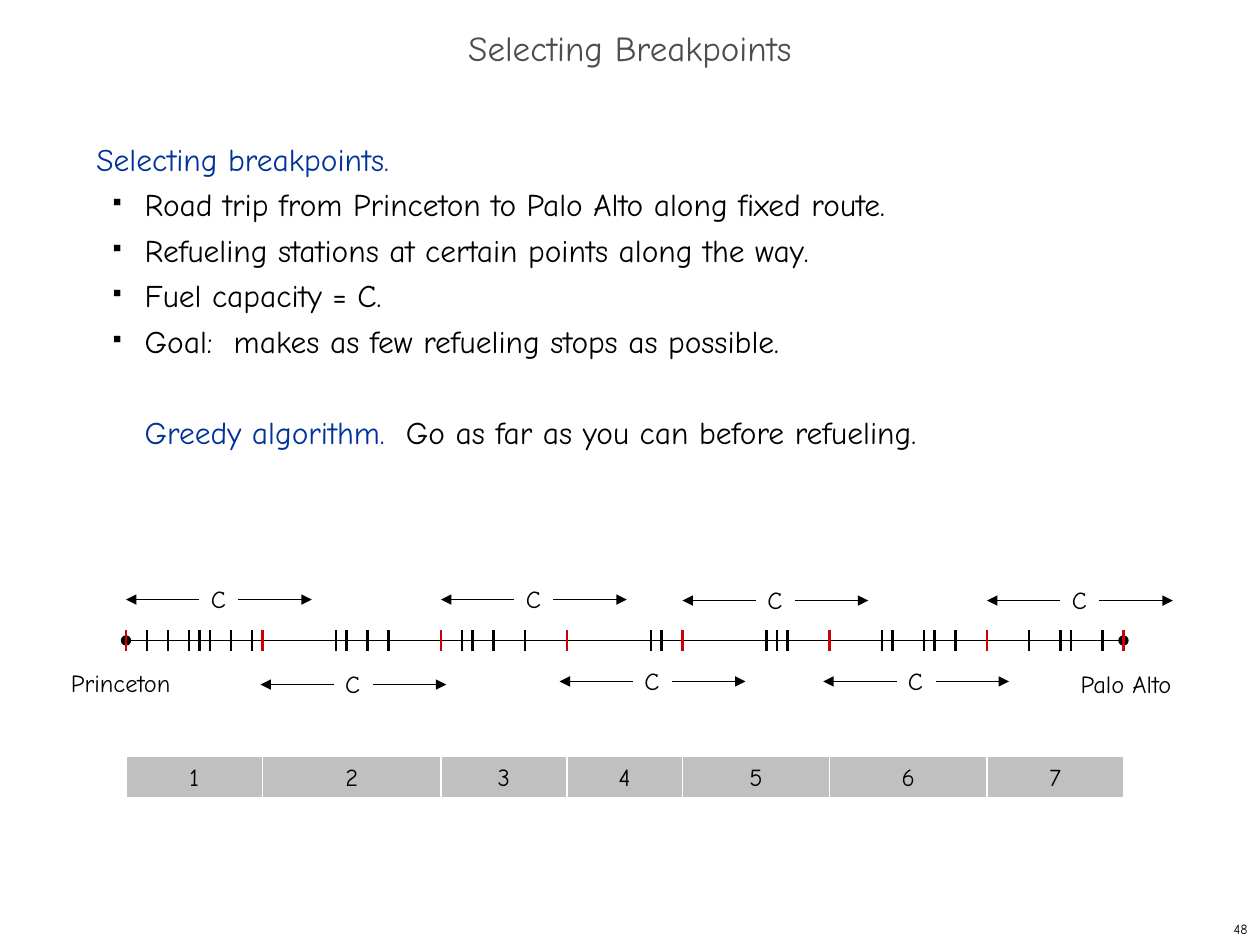
from dataclasses import dataclass

from lxml import etree
from pptx import Presentation
from pptx.dml.color import RGBColor
from pptx.enum.shapes import MSO_CONNECTOR, MSO_SHAPE
from pptx.enum.text import MSO_ANCHOR, MSO_AUTO_SIZE, PP_ALIGN
from pptx.oxml.ns import qn
from pptx.util import Pt

PX = 7620
LEFT, CENTER, RIGHT = PP_ALIGN.LEFT, PP_ALIGN.CENTER, PP_ALIGN.RIGHT
TOP, MIDDLE = MSO_ANCHOR.TOP, MSO_ANCHOR.MIDDLE
FIT_SHAPE = MSO_AUTO_SIZE.SHAPE_TO_FIT_TEXT
STRAIGHT = MSO_CONNECTOR.STRAIGHT
RECTANGLE = MSO_SHAPE.RECTANGLE


@dataclass(frozen=True)
class Theme:
    font: str = "Comic Neue"
    title: str = "4D4D4D"
    heading: str = "003399"
    ink: str = "000000"
    stop: str = "CC0000"
    segment: str = "C0C0C0"
    paper: str = "FFFFFF"
    title_size: int = 20
    body_size: int = 18
    label_size: int = 14
    number_size: int = 8
    body_leading: int = 26
    thin: float = 0.75
    tick: float = 1.25


class SlideBuilder:
    def __init__(self, slide, theme):
        self.slide = slide
        self.theme = theme

    def style(self, run, size, color):
        run.font.name = self.theme.font
        run.font.size = Pt(size)
        run.font.color.rgb = RGBColor.from_string(color)

    def fill_text(self, shape, text, size, color, align):
        frame = shape.text_frame
        frame.text = text
        frame.vertical_anchor = MIDDLE
        paragraph = frame.paragraphs[0]
        paragraph.alignment = align
        self.style(paragraph.runs[0], size, color)
        return paragraph

    def text(self, box, text, size, color, align):
        shape = self.slide.shapes.add_textbox(*(PX * side for side in box))
        shape.text_frame.word_wrap = True
        return self.fill_text(shape, text, size, color, align)

    def label(self, box, text, shapes=None):
        shapes = shapes or self.slide.shapes
        shape = shapes.add_textbox(*(PX * side for side in box))
        self.fill_text(shape, text, self.theme.label_size, self.theme.ink, CENTER)
        shape.text_frame.word_wrap = False
        shape.text_frame.auto_size = FIT_SHAPE

    def bullet(self, paragraph, hanging):
        properties = paragraph._p.get_or_add_pPr()
        properties.set("indent", str(-PX * hanging))
        color = etree.SubElement(properties, qn("a:buClr"))
        etree.SubElement(color, qn("a:srgbClr"), val=self.theme.ink)
        etree.SubElement(properties, qn("a:buSzPct"), val="35000")
        etree.SubElement(properties, qn("a:buChar"), char="■")

    def body(self, box, heading, bullets, closing, margin, hanging):
        theme = self.theme
        shape = self.slide.shapes.add_textbox(*(PX * side for side in box))
        frame = shape.text_frame
        frame.word_wrap = True
        frame.vertical_anchor = TOP
        rows = [[(heading, theme.heading)]]
        rows += [[(bullet, theme.ink)] for bullet in bullets]
        rows.append(list(zip(closing, (theme.heading, theme.ink))))
        for index, row in enumerate(rows):
            paragraph = frame.add_paragraph() if index else frame.paragraphs[0]
            paragraph.alignment = LEFT
            if index:
                paragraph._p.get_or_add_pPr().set("marL", str(PX * margin))
            if 0 < index <= len(bullets):
                self.bullet(paragraph, hanging)
            paragraph.line_spacing = Pt(theme.body_leading)
            for text, color in row:
                run = paragraph.add_run()
                run.text = text
                self.style(run, theme.body_size, color)
        paragraph.space_before = Pt(theme.body_leading)

    def line(self, ends, color, width, head=None, tail=None, shapes=None):
        shapes = shapes or self.slide.shapes
        connector = shapes.add_connector(STRAIGHT, *(PX * end for end in ends))
        connector.line.color.rgb = RGBColor.from_string(color)
        connector.line.width = Pt(width)
        outline = connector.get_or_add_ln()
        for tag, kind in (("a:headEnd", head), ("a:tailEnd", tail)):
            if kind:
                etree.SubElement(outline, qn(tag), type=kind)
        etree.SubElement(connector._element.spPr, qn("a:effectLst"))

    def capacity_range(self, left, y):
        shapes = self.slide.shapes.add_group_shape().shapes
        for start, end in ((107, 177), (70, 0)):
            self.line((left + start, y, left + end, y), self.theme.ink,
                      self.theme.thin, tail="triangle", shapes=shapes)
        self.label((left + 69, y - 21, 38, 40), "C", shapes)

    def segment(self, box, text):
        theme = self.theme
        shape = self.slide.shapes.add_shape(RECTANGLE, *(PX * side for side in box))
        shape.shadow.inherit = False
        shape.fill.solid()
        shape.fill.fore_color.rgb = RGBColor.from_string(theme.segment)
        shape.line.color.rgb = RGBColor.from_string(theme.paper)
        shape.line.width = Pt(theme.thin)
        self.fill_text(shape, text, theme.label_size, theme.ink, CENTER)
        shape.text_frame.word_wrap = False


def main():
    presentation = Presentation()
    presentation.slide_width = PX * 1200
    presentation.slide_height = PX * 900
    theme = Theme()
    slide = presentation.slides.add_slide(presentation.slide_layouts[6])
    builder = SlideBuilder(slide, theme)

    title = builder.text((0, 20, 1200, 60), "Selecting Breakpoints",
                         theme.title_size, theme.title, CENTER)
    title.line_spacing = 0.7
    builder.body(
        (80, 120, 1030, 710),
        "Selecting breakpoints.",
        ("Road trip from Princeton to Palo Alto along fixed route.",
         "Refueling stations at certain points along the way.",
         "Fuel capacity = C.",
         "Goal:  makes as few refueling stops as possible."),
        ("Greedy algorithm.  ", "Go as far as you can before refueling."),
        margin=46, hanging=30)

    mile = 10
    stops = (12, 25, 42, 54, 65, 79, 94, 107)
    stations = (14, 16, 18, 19, 20, 22, 24, 32, 33, 35, 37, 44, 45, 47, 50,
                62, 63, 73, 74, 75, 84, 85, 88, 89, 91, 98, 101, 102, 105)
    builder.line((mile * stops[0], 610, mile * stops[-1], 610), theme.ink,
                 theme.thin, head="oval", tail="oval")
    builder.label((55, 630, 120, 40), "Princeton")
    builder.label((1016, 631, 113, 40), "Palo Alto")

    for number, (start, end) in enumerate(zip(stops, stops[1:]), 1):
        builder.segment((mile * start, 720, mile * (end - start), 40), str(number))
    for left, y in ((120, 571), (248, 652), (420, 571), (533, 649),
                    (650, 572), (784, 649), (940, 572)):
        builder.capacity_range(left, y)
    for position in sorted(stops + stations):
        color = theme.stop if position in stops else theme.ink
        x = mile * position
        builder.line((x, 600, x, 620), color, theme.tick)

    builder.text((950, 870, 250, 30), "48", theme.number_size, theme.ink, RIGHT)
    presentation.save("out.pptx")


if __name__ == "__main__":
    main()
